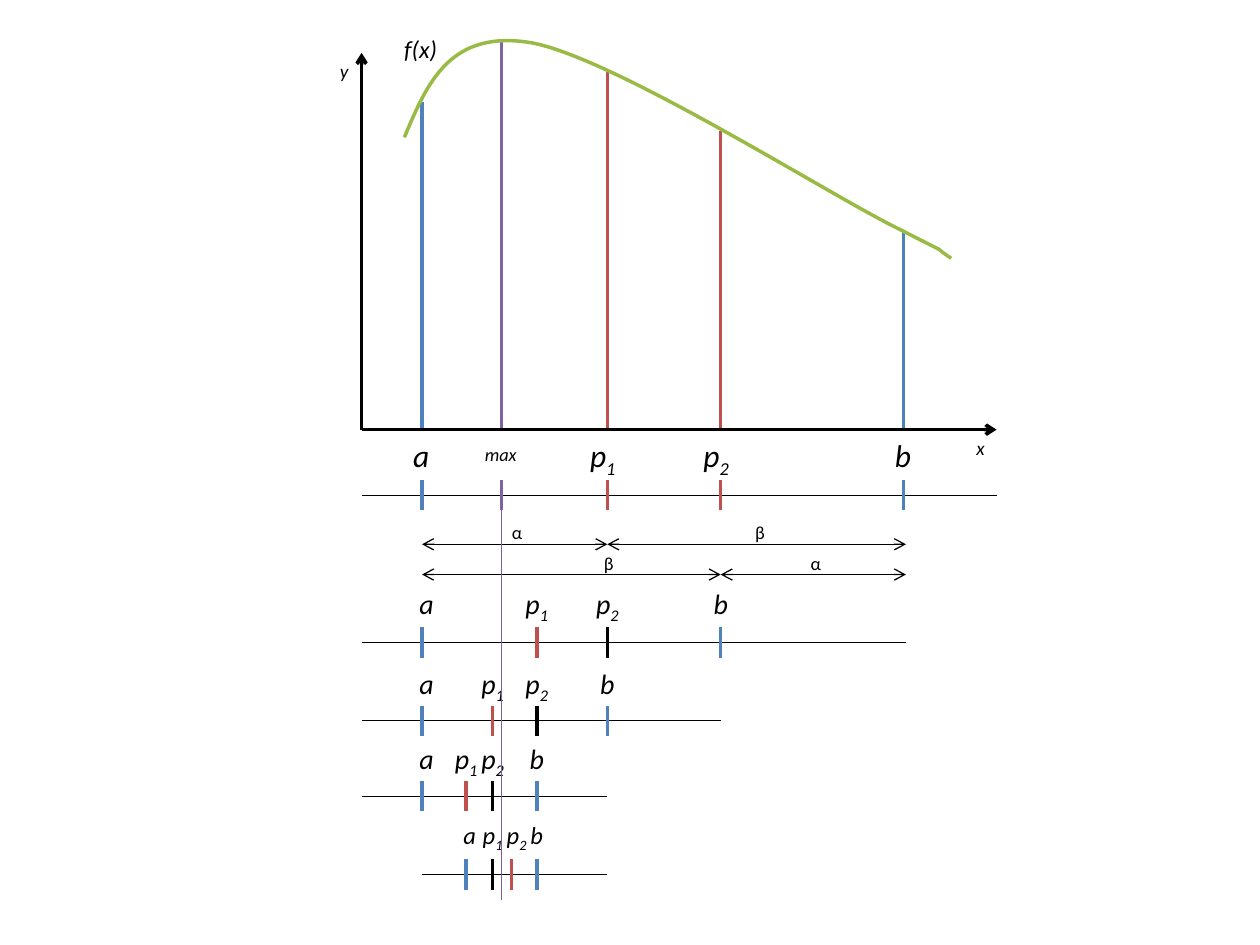
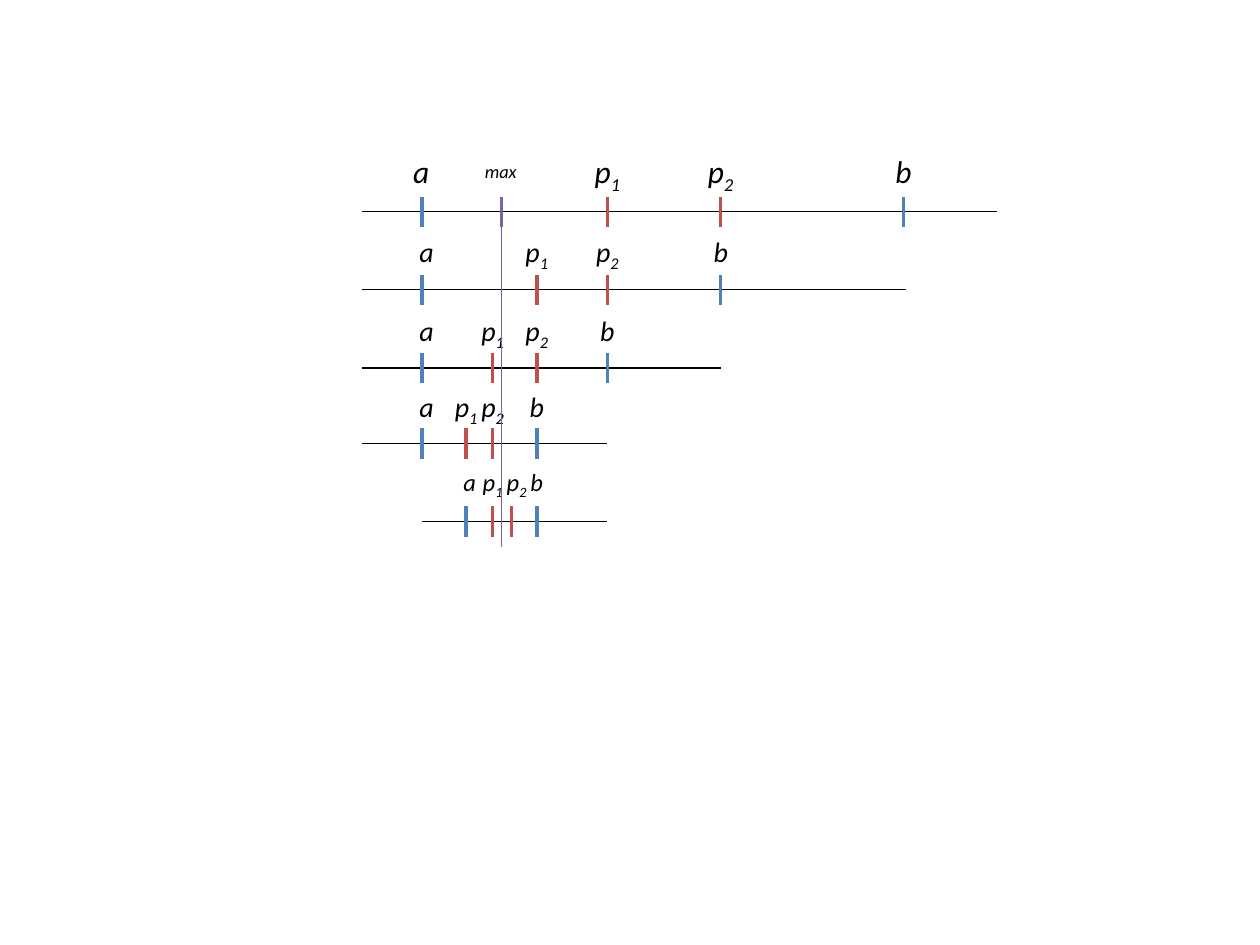
from pptx import Presentation
from pptx.dml.color import RGBColor
from pptx.enum import shapes, text
from pptx.oxml.ns import qn
from pptx.oxml.xmlchemy import OxmlElement
from pptx.util import Inches, Pt

FONT = "Calibri"
COLORS = {
    "ink": "000000",
    "bound": "4F81BD",
    "probe": "C0504D",
    "max": "8064A2",
    "max guide": "7D60A0",
    "curve": "99BB45",
}
THIN, THICK = 0.75, 2
TICK = 0.12

# Abscissas that the search intervals share
A, B, P1, P2, END = 3.35, 7.17, 4.82, 5.72, 7.19
MAX, Q1, Q2, Q3, Q4 = 3.98, 4.26, 3.91, 3.7, 4.06
AXIS_X, AXIS_RIGHT, AXIS_Y = 2.87, 7.91, 3.41

# One search step per row; "reused" is the probe kept from the step before,
# "nudge" shifts a label sideways from its tick
STEPS = [
    {"y": 3.93, "span": (AXIS_X, AXIS_RIGHT), "size": 18, "label rise": 0.52,
     "ticks": {"a": A, "p1": P1, "p2": P2, "b": B}, "nudge": {"a": -0.05}},
    {"y": 5.1, "span": (AXIS_X, END), "size": 16, "label rise": 0.49,
     "ticks": {"a": A, "p1": Q1, "p2": P1, "b": P2}, "reused": "p2"},
    {"y": 5.72, "span": (AXIS_X, P2), "size": 16, "label rise": 0.48,
     "ticks": {"a": A, "p1": Q2, "p2": Q1, "b": P1}, "reused": "p2"},
    {"y": 6.32, "span": (AXIS_X, P1), "size": 16, "label rise": 0.48,
     "ticks": {"a": A, "p1": Q3, "p2": Q2, "b": Q1}, "reused": "p2"},
    {"y": 6.94, "span": (A, P1), "size": 14, "label rise": 0.48,
     "ticks": {"a": Q3, "p1": Q2, "p2": Q4, "b": Q1}, "reused": "p1",
     "nudge": {"p2": 0.04}},
]
LABEL_HEIGHT = {18: 0.4, 16: 0.37, 14: 0.34}
B_WIDTH = {18: 0.33, 16: 0.32, 14: 0.3}

# Function plot: abscissa, height of the curve there, colour
STEMS = [
    (P1, 0.56, "probe"),
    (A, 0.81, "bound"),
    (B, 1.83, "bound"),
    (P2, 1.04, "probe"),
    (MAX, 0.33, "max"),
]
CURVE_START = (3.21, 1.09)
CURVE_BEZIERS = [
    (3.39, 0.66), (3.57, 0.23), (4.22, 0.34),
    (4.87, 0.46), (6.54, 1.52), (7.1, 1.8),
    (7.65, 2.08), (7.35, 1.92), (7.55, 2.05),
]
# Text, left, top, width, height, size
PLOT_LABELS = [
    ("f(x)", 3.11, 0.22, 0.47, 0.34, 14),
    ("y", 2.6, 0.42, 0.27, 0.29, 11),
    ("x", 7.65, 3.41, 0.27, 0.29, 11),
]
# Text, from, to, height, centre of the text
DISTANCES = [
    ("α", A, P1, 4.32, 4.09),
    ("β", P1, END, 4.32, 6.02),
    ("β", A, P2, 4.56, 4.82),
    ("α", P2, END, 4.56, 6.46),
]


def rgb(name):
    return RGBColor.from_string(COLORS[name])


def add_line(slide, start, end, color="ink", width=THIN, heads=()):
    """Straight line; heads lists the arrowed ends, headEnd and/or tailEnd."""
    line = slide.shapes.add_connector(
        shapes.MSO_CONNECTOR.STRAIGHT, *map(Inches, start + end))
    line.line.color.rgb = rgb(color)
    line.line.width = Pt(width)
    for head in heads:
        arrow = OxmlElement(f"a:{head}")
        arrow.set("type", "arrow")
        line.line._get_or_add_ln().append(arrow)
    line._element.spPr.append(OxmlElement("a:effectLst"))


def add_label(slide, words, left, top, width, height, size,
              italic=True, wrap=True, centered=False):
    box = slide.shapes.add_textbox(*map(Inches, (left, top, width, height)))
    frame = box.text_frame
    frame.word_wrap = wrap
    frame.auto_size = text.MSO_AUTO_SIZE.SHAPE_TO_FIT_TEXT
    paragraph = frame.paragraphs[0]
    if centered:
        paragraph.alignment = text.PP_ALIGN.CENTER
    is_probe = words in ("p1", "p2")
    for part in words if is_probe else [words]:
        run = paragraph.add_run()
        run.text = part
        for key, value in {"name": FONT, "size": Pt(size), "italic": italic}.items():
            setattr(run.font, key, value)
        run.font.color.rgb = rgb("ink")
        if is_probe and part.isdigit():
            run.font._element.set("baseline", "-25000")


def add_tick(slide, x, y, color):
    add_line(slide, (x, y + TICK), (x, y - TICK), color, THICK)


def add_step(slide, step, y, centered, mark_reused):
    left, right = step["span"]
    add_line(slide, (left, y), (right, y))
    size = step["size"]
    widths = {"a": 0.24, "b": B_WIDTH[size]}
    for name, x in step["ticks"].items():
        color = "bound" if name in widths else "probe"
        if mark_reused and name == step.get("reused"):
            color = "ink"
        add_tick(slide, x, y, color)
        width = widths.get(name, 0.47)
        center = x + step.get("nudge", {}).get(name, 0)
        add_label(slide, name, center - width / 2, y - step["label rise"], width,
                  LABEL_HEIGHT[size], size, wrap=name != "b", centered=centered)


def add_steps(slide, first_shift=0, shift=0, first_centered=True, mark_reused=False):
    """All search steps, moved up, with the maximum marked through them."""
    first_y = STEPS[0]["y"] - first_shift
    for i, step in enumerate(STEPS):
        add_step(slide, step, step["y"] - (shift if i else first_shift),
                 centered=bool(i) or first_centered, mark_reused=mark_reused)
    add_tick(slide, MAX, first_y, "max")
    add_label(slide, "max", 3.75, first_y - 0.46, 0.46, 0.28, 10.5)
    add_line(slide, (MAX, STEPS[-1]["y"] + 0.2 - shift), (MAX, first_y), "max guide")


def add_curve(slide):
    """Freeform whose points, three by three, become cubic Bézier segments."""
    builder = slide.shapes.build_freeform(*map(Inches, CURVE_START))
    builder.add_line_segments(
        [tuple(map(Inches, point)) for point in CURVE_BEZIERS], close=False)
    curve = builder.convert_to_shape()
    curve.shadow.inherit = False
    curve.fill.background()
    curve.line.color.rgb = rgb("curve")
    curve.line.width = Pt(THICK)
    segments = list(curve._element.iter(qn("a:lnTo")))
    for i in range(0, len(segments), 3):
        bezier = OxmlElement("a:cubicBezTo")
        segments[i].addprevious(bezier)
        for segment in segments[i:i + 3]:
            bezier.append(segment[0])
            segment.getparent().remove(segment)


def add_plot(slide):
    for x, top, color in STEMS:
        add_line(slide, (x, AXIS_Y), (x, top), color, THICK)
    origin = (AXIS_X, AXIS_Y)
    for tip in [(AXIS_X, 0.42), (AXIS_RIGHT, AXIS_Y)]:
        add_line(slide, origin, tip, width=THICK, heads=["tailEnd"])
    add_curve(slide)
    for label in PLOT_LABELS:
        add_label(slide, *label, wrap=False)


def add_distances(slide):
    for words, start, end, y, center in DISTANCES:
        add_line(slide, (start, y), (end, y), heads=["headEnd", "tailEnd"])
        add_label(slide, words, center - 0.125, y - 0.23, 0.25, 0.29, 10.5, italic=False)


def main():
    deck = Presentation()
    deck.slide_width, deck.slide_height = Inches(10), Inches(7.5)
    blank = deck.slide_layouts[6]

    search = deck.slides.add_slide(blank)
    add_plot(search)
    add_distances(search)
    add_steps(search, first_centered=False, mark_reused=True)

    summary = deck.slides.add_slide(blank)
    add_steps(summary, first_shift=2.25, shift=2.8)

    deck.save("out.pptx")


if __name__ == "__main__":
    main()
